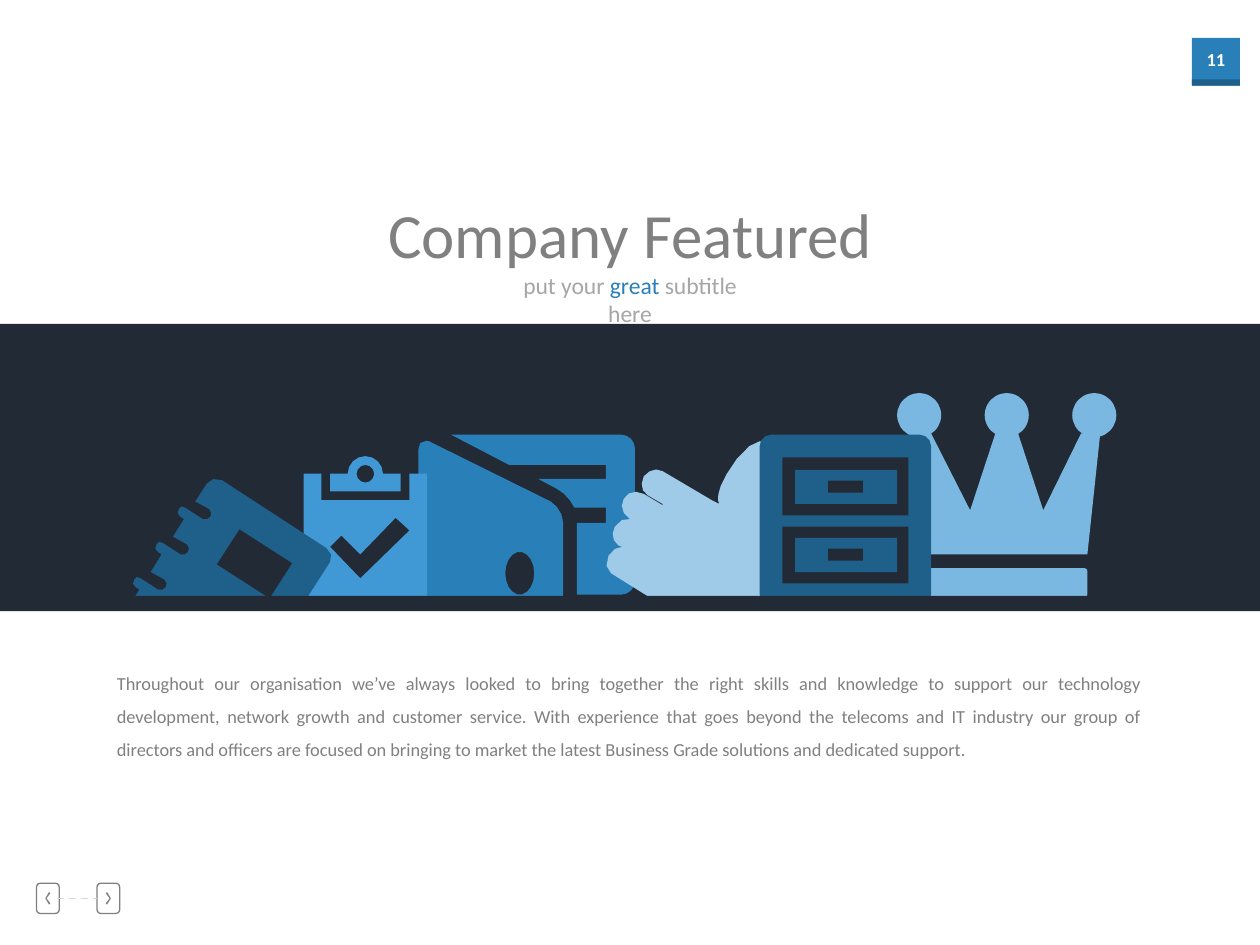
from dataclasses import dataclass
from math import cos, dist, pi, radians, sin, sqrt

from lxml import etree
from pptx import Presentation
from pptx.dml.color import RGBColor
from pptx.enum.dml import MSO_LINE
from pptx.enum.shapes import MSO_CONNECTOR, MSO_SHAPE
from pptx.enum.text import PP_ALIGN
from pptx.oxml.ns import qn
from pptx.util import Inches, Pt

RECTANGLE, ROUNDED, OVAL = MSO_SHAPE.RECTANGLE, MSO_SHAPE.ROUNDED_RECTANGLE, MSO_SHAPE.OVAL
STRAIGHT = MSO_CONNECTOR.STRAIGHT
DASH = MSO_LINE.DASH
CENTER, JUSTIFY = PP_ALIGN.CENTER, PP_ALIGN.JUSTIFY


@dataclass(frozen=True)
class Theme:
    font: str = "Calibri"
    white: str = "FFFFFF"
    navy: str = "222A35"
    deep: str = "1F608B"
    blue: str = "2980B9"
    bright: str = "4098D4"
    sky: str = "7BB8E1"
    pale: str = "9FCBE9"
    gray: str = "808080"
    light_gray: str = "A6A6A6"
    rule: str = "D9D9D9"
    title: float = 36
    subtitle: float = 13.5
    body: float = 10.5


THEME = Theme()


# Outline helpers: icon coordinates are hundredths of an inch.
def arc(x, y, radius_x, radius_y, start, end):
    span = radians(end - start)
    steps = max(2, round(span / sqrt(2 / radius_y)))
    angles = [radians(start) + span * i / steps for i in range(steps + 1)]
    return [(x + radius_x * cos(a), y + radius_y * sin(a)) for a in angles]


def box(x, y, width, height, radius=0):
    right, bottom = x + width, y + height
    if not radius:
        return [(x, y), (right, y), (right, bottom), (x, bottom)]
    centers = [(right - radius, bottom - radius), (x + radius, bottom - radius),
               (x + radius, y + radius), (right - radius, y + radius)]
    return [point for i, center in enumerate(centers)
            for point in arc(*center, radius, radius, 90 * i, 90 * i + 90)]


def trace(contour):
    """Turn points and six-number cubic curves into plain points."""
    points = []
    for item in contour:
        if len(item) == 2:
            points.append(item)
            continue
        x0, y0 = points[-1]
        x1, y1, x2, y2, x3, y3 = item
        steps = max(2, min(6, round(dist((x0, y0), (x3, y3)) / 6)))
        for t in (i / steps for i in range(1, steps + 1)):
            a, b, c, d = (1 - t) ** 3, 3 * t * (1 - t) ** 2, 3 * t * t * (1 - t), t ** 3
            points.append((a * x0 + b * x1 + c * x2 + d * x3,
                           a * y0 + b * y1 + c * y2 + d * y3))
    return points


def paint(shape, color):
    shape.shadow.inherit = False
    shape.fill.solid()
    shape.fill.fore_color.rgb = RGBColor.from_string(color)
    shape.line.fill.background()


def add_outline(slide, left, top, color, *contours):
    builder = None
    for contour in contours:
        points = [(Inches(left + x / 100), Inches(top + y / 100)) for x, y in trace(contour)]
        if builder is None:
            builder = slide.shapes.build_freeform(*points[0], scale=1.0)
        else:
            builder.move_to(*points[0])
        builder.add_line_segments(points[1:], close=True)
    paint(builder.convert_to_shape(), color)


def add_block(slide, left, top, width, height, color, kind=RECTANGLE):
    shape = slide.shapes.add_shape(kind, *map(Inches, (left, top, width, height)))
    paint(shape, color)
    return shape


def add_text(slide, left, top, width, height, runs, size, align=CENTER,
             wrap=False, bold=False, spacing=None, inset=0.1):
    text_box = slide.shapes.add_textbox(*map(Inches, (left, top, width, height)))
    frame = text_box.text_frame
    frame.word_wrap = wrap
    frame.margin_left = frame.margin_right = Inches(inset)
    paragraph = frame.paragraphs[0]
    paragraph.alignment = align
    if spacing:
        paragraph.line_spacing = spacing
    for text, color in runs:
        run = paragraph.add_run()
        run.text = text
        run.font.name, run.font.size, run.font.bold = THEME.font, Pt(size), bold
        run.font.color.rgb = RGBColor.from_string(color)


# Page furniture
def add_navigation(slide, left, top):
    chevron = [(4, 1), (1, 5), (4, 9), (3, 10), (0, 5), (3, 0)]
    mirrored = [(4 - x, y) for x, y in chevron]
    for offset, arrow in ((0, chevron), (0.48, mirrored)):
        add_outline(slide, left + offset + 0.08, top + 0.07, THEME.gray, arrow)
        frame = add_block(slide, left + offset + 0.01, top, 0.18, 0.24, THEME.white, ROUNDED)
        frame.fill.background()
        frame.line.color.rgb = RGBColor.from_string(THEME.gray)
        frame.line.width = Pt(0.75)
    line = slide.shapes.add_connector(STRAIGHT, Inches(left + 0.17), Inches(top + 0.12),
                                      Inches(left + 0.49), Inches(top + 0.12))
    line.line.color.rgb = RGBColor.from_string(THEME.rule)
    line.line.width, line.line.dash_style = Pt(1), DASH
    etree.SubElement(line._element.spPr, qn("a:effectLst"))


def add_page_number(slide, left, top, size):
    add_block(slide, left, top, size, size, THEME.blue)
    add_block(slide, left, top + size - 0.05, size, 0.05, THEME.deep)
    add_text(slide, left, top + 0.03, size, 0.28, [("11", THEME.white)], THEME.body, bold=True)


def add_heading(slide, left, top, width):
    add_text(slide, left + 0.92, top + 0.6, width - 1.84, 0.33,
             [("put your ", THEME.light_gray), ("great", THEME.blue),
              (" subtitle here", THEME.light_gray)], THEME.subtitle, wrap=True, inset=0.2)
    add_text(slide, left, top, width, 0.71, [("Company Featured", THEME.gray)], THEME.title)


# Icons
def add_crown(slide, left, top):
    base = add_block(slide, left + 0.23, top + 1.39, 1.28, 0.23, THEME.sky, ROUNDED)
    base.adjustments[0] = 0.1
    add_outline(slide, left, top, THEME.sky, [
        (23, 128), (13, 34), (27, 32), (58, 93), (78, 32), (96, 32),
        (116, 93), (146, 32), (161, 34), (151, 128)])
    for i in range(3):
        add_block(slide, left + 0.695 * i, top, 0.35, 0.35, THEME.sky, OVAL)


def add_wallet(slide, left, top):
    add_outline(slide, left, top, THEME.blue, [
        (26, 0), *arc(161, 11, 11, 11, 270, 360), *arc(161, 116, 11, 11, 0, 90),
        (126, 127), (126, 70), (149, 70), (149, 58), (124, 58),
        (121, 52, 116, 46, 110, 43), (95, 35), (149, 35), (149, 24), (72, 24)])
    add_outline(slide, left, top, THEME.blue, [
        (105, 53), (10, 6), (9, 5, 8, 5, 6, 5), (2, 5, 0, 7, 0, 12), (0, 116),
        (0, 122, 5, 130, 10, 132), (105, 179), (106, 180, 108, 181, 109, 181),
        (112, 181, 115, 178, 115, 173), (115, 70), (115, 63, 110, 56, 105, 53)],
        arc(80.5, 110, 11.5, 17, 0, 360))


def add_hand(slide, left, top):
    add_outline(slide, left, top, THEME.pale, [
        (15, 51), (18, 45, 25, 44, 31, 47), (46, 56), (46, 55), (34, 48),
        (29, 45, 28, 39, 31, 33), (35, 28, 41, 26, 46, 29), (85, 52), (91, 55),
        (91, 55, 84, 47, 105, 19), (126, -8, 138, 12, 138, 12),
        (138, 12, 125, 37, 125, 42), (126, 94), (135, 107), (111, 158),
        (99, 149, 87, 156, 59, 142), (49, 138, 39, 131, 29, 125), (5, 110),
        (1, 108, 0, 101, 3, 96), (6, 91, 10, 89, 14, 89), (11, 88),
        (6, 85, 5, 78, 8, 73), (11, 68, 16, 66, 20, 67), (19, 66),
        (14, 63, 12, 56, 15, 51)])


def add_clipboard(slide, left, top):
    add_outline(slide, left, top, THEME.bright,
                [(21, 14), *arc(49, 14, 14, 14, 180, 360), (77, 14), (77, 28), (21, 28)],
                arc(49, 14, 7, 7, 0, 360))
    add_outline(slide, left, top, THEME.bright,
                [(84, 14), (84, 35), (14, 35), (14, 14), (0, 14), (0, 112), (98, 112), (98, 14)],
                [(45, 97), (21, 72), (30, 63), (45, 78), (73, 49), (84, 59)])


def add_notebook(slide, left, top):
    ring = [(55, 18), (66, 24), (68, 26, 68, 28, 67, 30), (66, 32, 63, 33, 61, 32),
            (47, 23), (45, 21, 43, 22, 42, 24), (40, 26, 41, 29, 43, 30), (46, 32)]
    rings = [tuple(value + (28 if i % 2 else -17.7) * step for i, value in enumerate(item))
             for step in range(3) for item in ring]
    add_outline(slide, left, top, THEME.deep, [
        (159, 55), (76, 1), (72, -1, 66, 0, 64, 4), *rings, (2, 102),
        (-1, 105, 1, 110, 4, 113), (88, 166), (92, 169, 97, 168, 99, 164),
        (162, 66), (164, 63, 163, 57, 159, 55)],
        [(114, 95), (72, 68), (90, 40), (132, 67)])


def add_cabinet(slide, left, top):
    add_outline(slide, left, top, THEME.deep, box(0, 0, 136, 136, 9),
                box(18, 18, 100, 46), box(18, 73, 100, 45))
    for y in (82, 28):
        add_outline(slide, left, top, THEME.deep, box(28, y, 81, 27), box(54, y + 8.5, 28, 9.5))


def add_icon_band(slide, left, top, width):
    add_block(slide, left, top, width, 2.17, THEME.navy)
    add_heading(slide, left + 2.94, top - 1.07, 4.12)
    icons = [(add_crown, 7.12, 0.55), (add_wallet, 3.32, 0.88), (add_hand, 4.8, 0.88),
             (add_clipboard, 2.41, 1.05), (add_notebook, 1, 1.23), (add_cabinet, 6.03, 0.88)]
    for add_icon, x, y in icons:
        add_icon(slide, left + x, top + y)
    # Covers trim the icons to a common ground line
    add_block(slide, left, top + 2.28, width, 1.71, THEME.white)
    add_block(slide, left, top + 2.16, width, 0.12, THEME.navy)


def main():
    presentation = Presentation()
    presentation.slide_width, presentation.slide_height = Inches(10), Inches(7.5)
    slide = presentation.slides.add_slide(presentation.slide_layouts[6])
    add_navigation(slide, 0.28, 7.01)
    add_page_number(slide, 9.46, 0.3, 0.38)
    add_icon_band(slide, 0, 2.57, 10)
    add_text(slide, 0.83, 5.2, 8.33, 0.9, [(
        "Throughout our organisation we’ve always looked to bring together the right skills and "
        "knowledge to support our technology development, network growth and customer service. "
        "With experience that goes beyond the telecoms and IT industry our group of directors and "
        "officers are focused on bringing to market the latest Business Grade solutions and "
        "dedicated support.", THEME.gray)], THEME.body, JUSTIFY, wrap=True, spacing=1.5)
    presentation.save("out.pptx")


if __name__ == "__main__":
    main()
